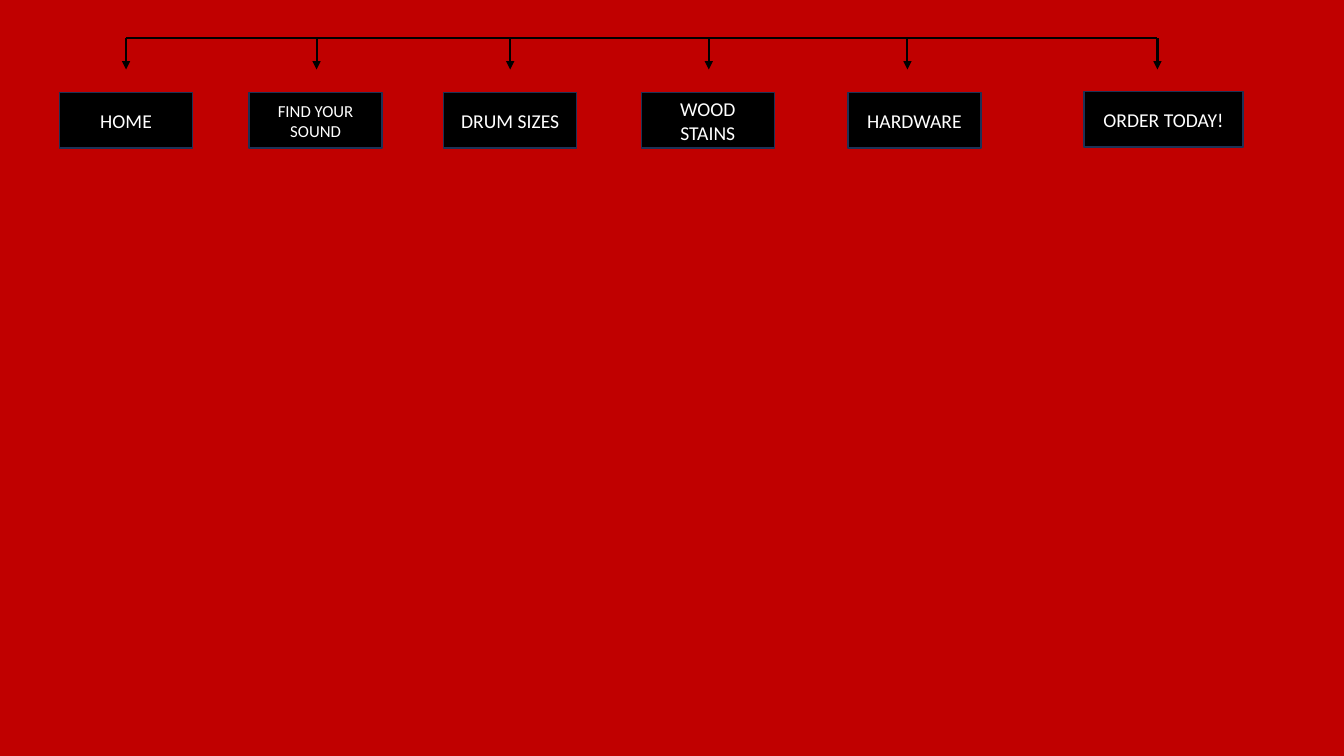
from lxml.etree import SubElement
from pptx import Presentation
from pptx.dml.color import RGBColor
from pptx.enum.shapes import MSO_CONNECTOR, MSO_SHAPE
from pptx.enum.text import MSO_ANCHOR, PP_ALIGN
from pptx.oxml.ns import qn
from pptx.util import Inches, Pt

COLORS = {"background": "C00000", "button": "000000", "border": "1E3256", "label": "FFFFFF", "branch": "000000"}
LABEL_FORMAT = {"name": "Calibri", "size": Pt(14)}
BRANCH_TOP, BRANCH_TIP = 0.38, 0.69
BUTTON_HEIGHT = 0.55

MENU = [
    ("HOME", 0.59, 0.92, 1.32, 1.25, {}),
    ("FIND YOUR SOUND", 2.47, 0.92, 1.32, 3.14, {"size": Pt(12)}),
    ("DRUM SIZES", 4.4, 0.92, 1.32, 5.06, {}),
    ("WOOD STAINS", 6.36, 0.92, 1.32, 7.03, {}),
    ("HARDWARE", 8.41, 0.92, 1.32, 9, {}),
    ("ORDER TODAY!", 10.75, 0.91, 1.58, 11.48, {}),
]

prs = Presentation()
prs.slide_width, prs.slide_height = Inches(13.33), Inches(7.5)
slide = prs.slides.add_slide(prs.slide_layouts[6])
slide.background.fill.solid()
slide.background.fill.fore_color.rgb = RGBColor.from_string(COLORS["background"])


def add_branch(x1, y1, x2, y2):
    branch = slide.shapes.add_connector(
        MSO_CONNECTOR.STRAIGHT, Inches(x1), Inches(y1), Inches(x2), Inches(y2)
    )
    branch.line.color.rgb = RGBColor.from_string(COLORS["branch"])
    branch.line.width = Pt(1.5)
    SubElement(branch._element.spPr, qn("a:effectLst"))
    return branch


add_branch(MENU[0][4], BRANCH_TOP, MENU[-1][4], BRANCH_TOP)

for label, left, top, width, branch_x, label_changes in MENU:
    arrow = add_branch(branch_x, BRANCH_TOP, branch_x, BRANCH_TIP)
    SubElement(arrow.line._get_or_add_ln(), qn("a:tailEnd"), type="triangle")

    button = slide.shapes.add_shape(
        MSO_SHAPE.RECTANGLE, Inches(left), Inches(top), Inches(width), Inches(BUTTON_HEIGHT)
    )
    button.shadow.inherit = False
    button.fill.solid()
    button.fill.fore_color.rgb = RGBColor.from_string(COLORS["button"])
    button.line.color.rgb = RGBColor.from_string(COLORS["border"])
    button.line.width = Pt(1)

    caption = button.text_frame
    caption.word_wrap = True
    caption.vertical_anchor = MSO_ANCHOR.MIDDLE
    caption.text = label
    caption.paragraphs[0].alignment = PP_ALIGN.CENTER
    font = caption.paragraphs[0].runs[0].font
    font.color.rgb = RGBColor.from_string(COLORS["label"])
    for attribute, value in {**LABEL_FORMAT, **label_changes}.items():
        setattr(font, attribute, value)

prs.save("out.pptx")
